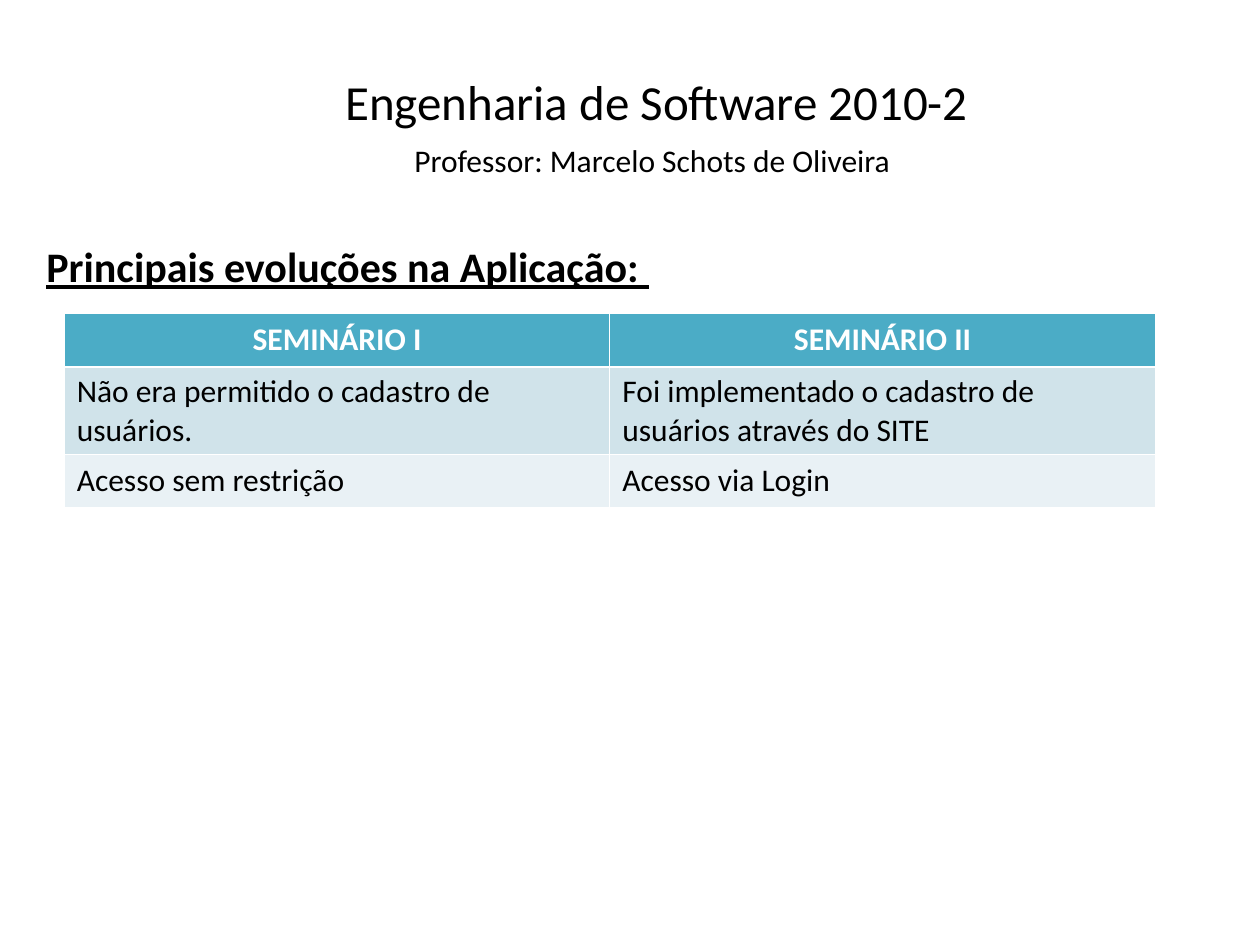
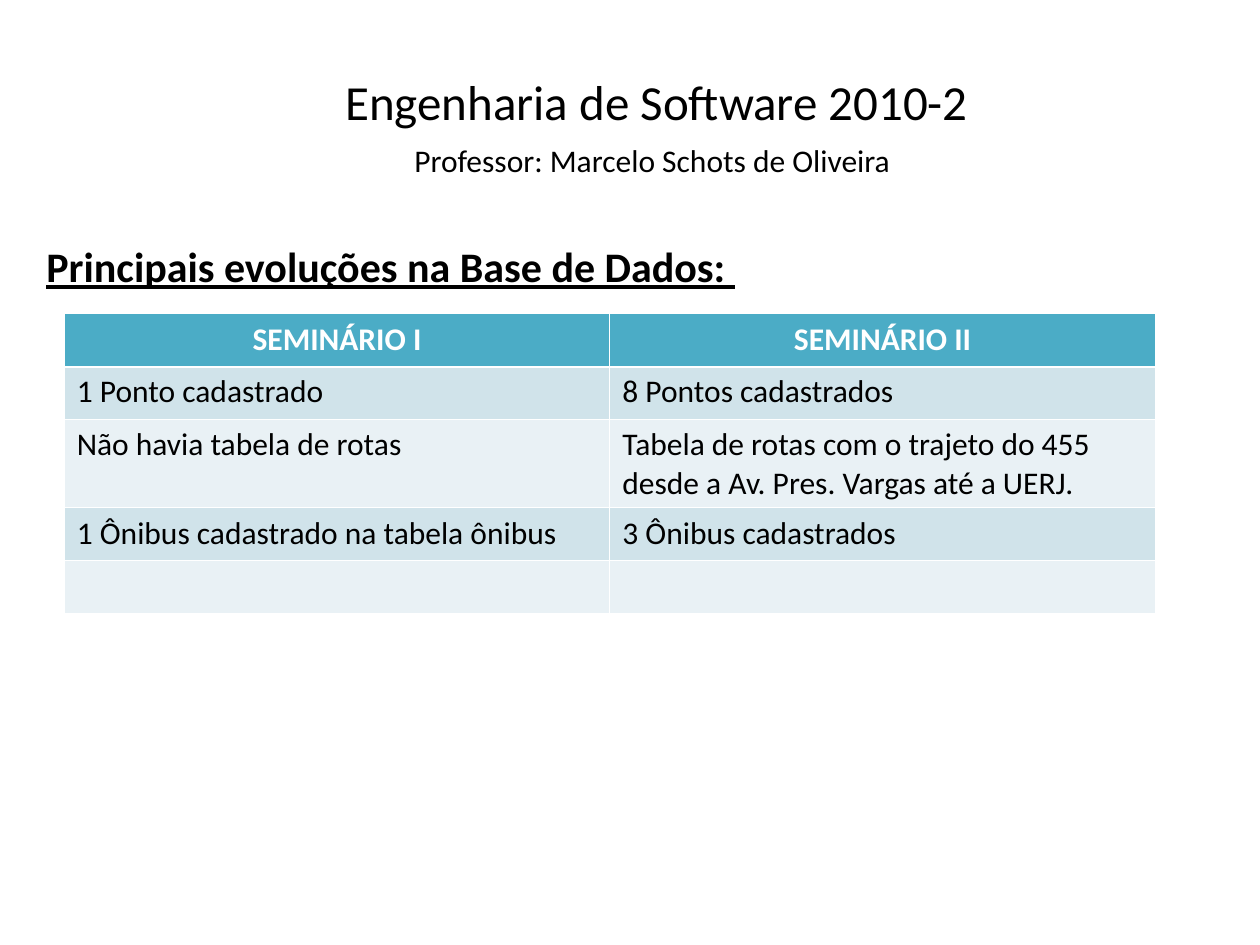
"""Build two slides comparing the first and second seminar of a course project."""
import dataclasses

import lxml.etree
import pptx
import pptx.dml.color
import pptx.enum.text
import pptx.oxml.ns
import pptx.util

Inches = pptx.util.Inches
Alignment = pptx.enum.text.PP_ALIGN


@dataclasses.dataclass(frozen=True)
class Theme:
    """Colours, type sizes and line widths shared by the slides."""
    font: str = "Calibri"
    text: str = "000000"
    white: str = "FFFFFF"
    header: str = "4BACC6"
    bands: tuple = ("D0E3EA", "E9F1F5")
    title_size: int = 28
    heading_size: int = 24
    text_size: int = 18
    thin_line: float = 0.5
    thick_line: float = 1.5


THEME = Theme()
TITLE = "Engenharia de Software 2010-2"
PROFESSOR = "Professor: Marcelo Schots de Oliveira"
SEMINARS = ("SEMINÁRIO I", "SEMINÁRIO II")
COLUMN_WIDTH = 4.33
ONE_LINE, TWO_LINES = 0.42, 0.7

COMPARISONS = [
    ("Principais evoluções na Aplicação: ", [
        (TWO_LINES, "Não era permitido o cadastro de usuários.",
         "Foi implementado o cadastro de usuários através do SITE"),
        (ONE_LINE, "Acesso sem restrição", "Acesso via Login"),
    ]),
    ("Principais evoluções na Base de Dados: ", [
        (ONE_LINE, "1 Ponto cadastrado", "8 Pontos cadastrados"),
        (TWO_LINES, "Não havia tabela de rotas",
         "Tabela de rotas com o trajeto do 455 desde a Av. Pres. Vargas até a UERJ."),
        (ONE_LINE, "1 Ônibus cadastrado na tabela ônibus", "3 Ônibus cadastrados"),
        (ONE_LINE, "", ""),
    ]),
]


def write_text(text_frame, text, size, color=THEME.text, bold=False,
               underline=False, alignment=Alignment.LEFT):
    """Write one formatted run into the first paragraph of a text frame."""
    paragraph = text_frame.paragraphs[0]
    paragraph.alignment = alignment
    paragraph.font.size = pptx.util.Pt(size)
    if not text:
        return
    run = paragraph.add_run()
    run.text = text
    run.font.name = THEME.font
    run.font.size = pptx.util.Pt(size)
    run.font.bold = bold
    run.font.underline = underline
    run.font.color.rgb = pptx.dml.color.RGBColor.from_string(color)


def add_title(slide, text):
    """Place and fill the title placeholder."""
    title = slide.shapes.title
    title.left, title.top = Inches(2.64), Inches(0.52)
    title.width, title.height = Inches(5.59), Inches(0.57)
    title.text_frame.vertical_anchor = pptx.enum.text.MSO_ANCHOR.TOP
    title.text_frame.auto_size = pptx.enum.text.MSO_AUTO_SIZE.NONE
    write_text(title.text_frame, text, THEME.title_size)


def add_text_box(slide, left, top, width, height, text, size, **style):
    """Add a wrapping text box with one line of text."""
    box = slide.shapes.add_textbox(Inches(left), Inches(top), Inches(width), Inches(height))
    box.text_frame.word_wrap = True
    write_text(box.text_frame, text, size, **style)


def set_borders(cell, top, bottom):
    """Draw white borders, with their own widths at the top and bottom."""
    properties = cell._tc.get_or_add_tcPr()
    widths = {"L": THEME.thin_line, "R": THEME.thin_line, "T": top, "B": bottom}
    for side, width in widths.items():
        line = lxml.etree.SubElement(properties, pptx.oxml.ns.qn(f"a:ln{side}"),
                                     w=str(pptx.util.Pt(width)))
        fill = lxml.etree.SubElement(line, pptx.oxml.ns.qn("a:solidFill"))
        lxml.etree.SubElement(fill, pptx.oxml.ns.qn("a:srgbClr"), val=THEME.white)


def style_cell(cell, row_index):
    """Set the borders and fill of a cell from its row."""
    set_borders(cell,
                top=THEME.thick_line if row_index == 1 else THEME.thin_line,
                bottom=THEME.thick_line if row_index == 0 else THEME.thin_line)
    color = THEME.bands[(row_index - 1) % 2] if row_index else THEME.header
    cell.fill.solid()
    cell.fill.fore_color.rgb = pptx.dml.color.RGBColor.from_string(color)


def add_comparison_table(slide, rows):
    """Add the two-column table with a header and banded rows."""
    rows = [(ONE_LINE, *SEMINARS), *rows]
    height = sum(row[0] for row in rows)
    frame = slide.shapes.add_table(len(rows), len(SEMINARS), Inches(0.51), Inches(2.49),
                                   Inches(COLUMN_WIDTH * len(SEMINARS)), Inches(height))
    table = frame.table
    header_style = {"color": THEME.white, "bold": True, "alignment": Alignment.CENTER}
    for row_index, (row_height, *texts) in enumerate(rows):
        table.rows[row_index].height = Inches(row_height)
        for column_index, text in enumerate(texts):
            cell = table.cell(row_index, column_index)
            style_cell(cell, row_index)
            style = {} if row_index else header_style
            write_text(cell.text_frame, text, THEME.text_size, **style)


def add_comparison_slide(presentation, heading, rows):
    """Add a slide with the course title, a heading and its table."""
    slide = presentation.slides.add_slide(presentation.slide_layouts.get_by_name("Title Only"))
    add_title(slide, TITLE)
    add_text_box(slide, 3.19, 1.07, 4.25, 0.4, PROFESSOR, THEME.text_size)
    add_text_box(slide, 0.27, 1.86, 9.29, 3.4, heading, THEME.heading_size,
                 bold=True, underline=True)
    add_comparison_table(slide, rows)


def main():
    """Build and save the presentation."""
    presentation = pptx.Presentation()
    presentation.slide_width, presentation.slide_height = Inches(10), Inches(7.5)
    for heading, rows in COMPARISONS:
        add_comparison_slide(presentation, heading, rows)
    presentation.save("out.pptx")


if __name__ == "__main__":
    main()
